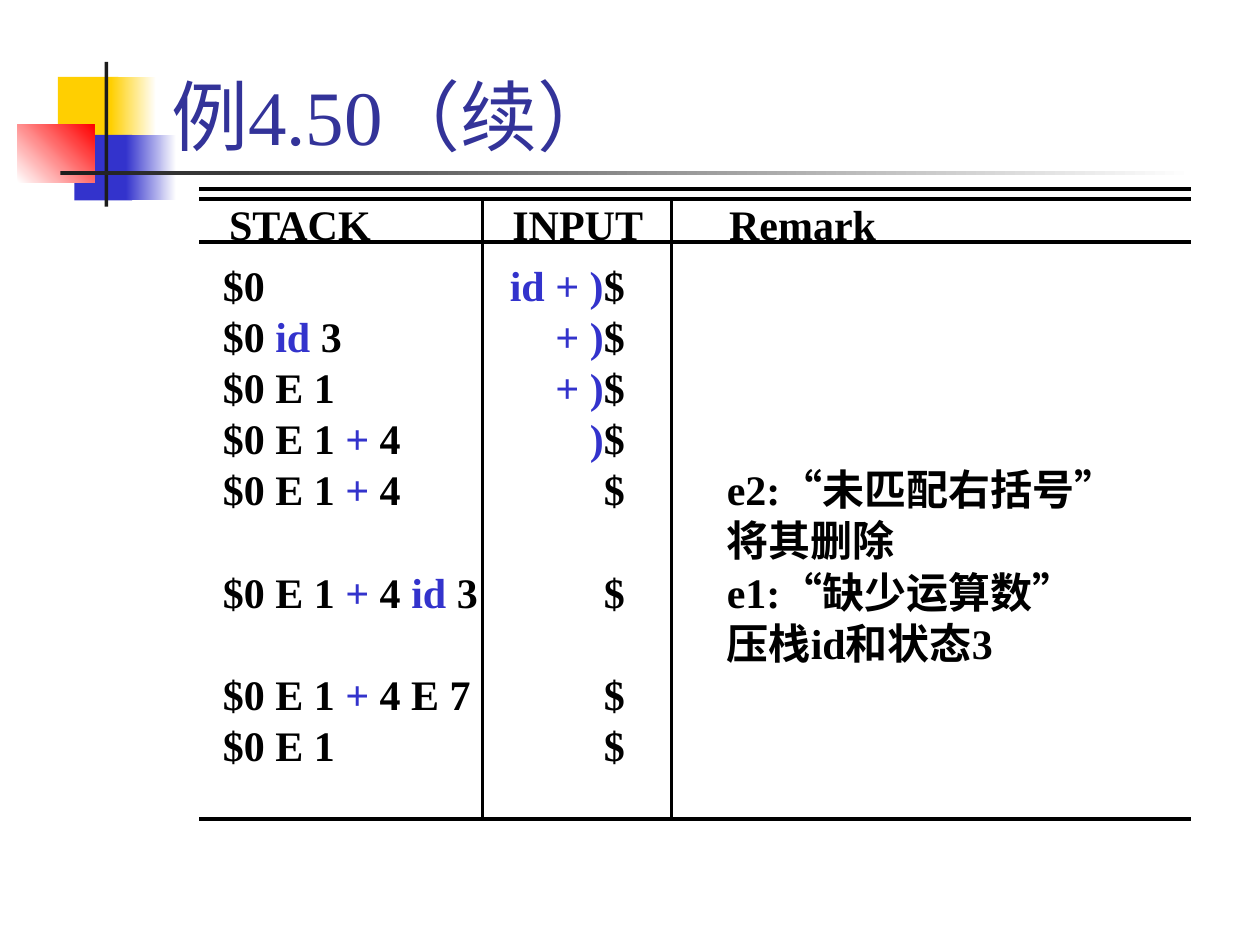
from lxml.etree import SubElement
from pptx import Presentation
from pptx.dml.color import RGBColor
from pptx.enum.shapes import MSO_CONNECTOR, MSO_SHAPE
from pptx.enum.text import MSO_ANCHOR, PP_ALIGN
from pptx.oxml.ns import qn
from pptx.util import Inches, Pt

COLORS = {
    "yellow": "FFCF01",
    "blue": "3333CC",
    "red": "FF0000",
    "dark": "1C1C1C",
    "white": "FFFFFF",
    "title": "333399",
    "black": "000000",
}


def rgb(name):
    return RGBColor.from_string(COLORS[name])


def add_text_box(left, top, width, height):
    frame = slide.shapes.add_textbox(
        Inches(left), Inches(top), Inches(width), Inches(height)
    ).text_frame
    frame.word_wrap = True
    return frame


prs = Presentation()
prs.slide_width = Inches(10)
prs.slide_height = Inches(7.5)
slide = prs.slides.add_slide(prs.slide_layouts[6])

ornaments = [
    (0.46, 0.61, 0.48, 0.52, ["yellow"], 0),
    (0.88, 0.61, 0.36, 0.52, ["yellow", "white"], 0),
    (0.59, 1.07, 0.46, 0.52, ["blue"], 0),
    (1, 1.07, 0.4, 0.52, ["blue", "white"], 0),
    (0.14, 0.99, 0.61, 0.46, ["white", "red"], 45),
    (0.83, 0.49, 0.03, 1.15, ["dark"], 0),
    (0.48, 1.36, 9, 0.03, ["dark", "white"], 0),
]
for left, top, width, height, tones, angle in ornaments:
    ornament = slide.shapes.add_shape(
        MSO_SHAPE.RECTANGLE, Inches(left), Inches(top), Inches(width), Inches(height)
    )
    ornament.shadow.inherit = False
    ornament.line.fill.background()
    if len(tones) == 1:
        ornament.fill.solid()
        ornament.fill.fore_color.rgb = rgb(tones[0])
    else:
        ornament.fill.gradient()
        ornament.fill.gradient_angle = angle
        for position, (stop, tone) in enumerate(zip(ornament.fill.gradient_stops, tones)):
            stop.position = position
            stop.color.rgb = rgb(tone)

title_frame = add_text_box(1.26, 0.08, 8.52, 1.25)
title_frame.vertical_anchor = MSO_ANCHOR.BOTTOM
title = title_frame.paragraphs[0]
title.text = "例4.50（续）"
title.font.size = Pt(44)
title.font.name = "Times New Roman"
title.font.color.rgb = rgb("title")

table_left, table_right, table_bottom = 1.58, 9.45, 6.5
rules = [(table_left, y, table_right, y) for y in (1.5, 1.58, 1.92, table_bottom)]
rules += [(x, 1.58, x, table_bottom) for x in (3.83, 5.33)]
for x1, y1, x2, y2 in rules:
    rule = slide.shapes.add_connector(
        MSO_CONNECTOR.STRAIGHT, Inches(x1), Inches(y1), Inches(x2), Inches(y2)
    )
    rule.line.color.rgb = rgb("black")
    rule.line.width = Pt(2)
    SubElement(rule._element.spPr, qn("a:effectLst"))

moves = [
    "$0\t|id + )|$",
    "$0 |id |3\t|+ )|$",
    "$0 E 1\t|+ )|$",
    "$0 E 1 |+| 4\t|)|$",
    "$0 E 1 |+| 4\t$\te2:“未匹配右括号”",
    "\t\t将其删除",
    "$0 E 1 |+| 4 |id| 3\t$\te1:“缺少运算数”",
    "\t\t压栈id和状态3",
    "$0 E 1 |+| 4 E 7\t$",
    "$0 E 1\t$",
]
tab_stops = [(3.19, "r"), (4, "l")]
moves_frame = add_text_box(1.67, 2, 7.75, 4.48)
for row, move in enumerate(moves):
    line = moves_frame.add_paragraph() if row else moves_frame.paragraphs[0]
    tabs = SubElement(line._p.get_or_add_pPr(), qn("a:tabLst"))
    for position, alignment in tab_stops:
        SubElement(tabs, qn("a:tab"), pos=str(Inches(position)), algn=alignment)
    line.line_spacing = Pt(29.25)
    line.font.size = Pt(24)
    line.font.name = "Times New Roman"
    line.font.bold = True
    for index, part in enumerate(move.split("|")):
        symbols = line.add_run()
        symbols.text = part
        symbols.font.color.rgb = rgb("blue" if index % 2 else "black")

headings = [("STACK", 1.67, 1.42), ("INPUT", 3.92, 1.33), ("Remark", 5.58, 1.58)]
for label, left, width in headings:
    heading = add_text_box(left, 1.53, width, 0.5).paragraphs[0]
    heading.text = label
    heading.alignment = PP_ALIGN.CENTER
    heading.font.size = Pt(24)
    heading.font.name = "Times New Roman"
    heading.font.bold = True
    heading.font.color.rgb = rgb("black")

prs.save("out.pptx")
